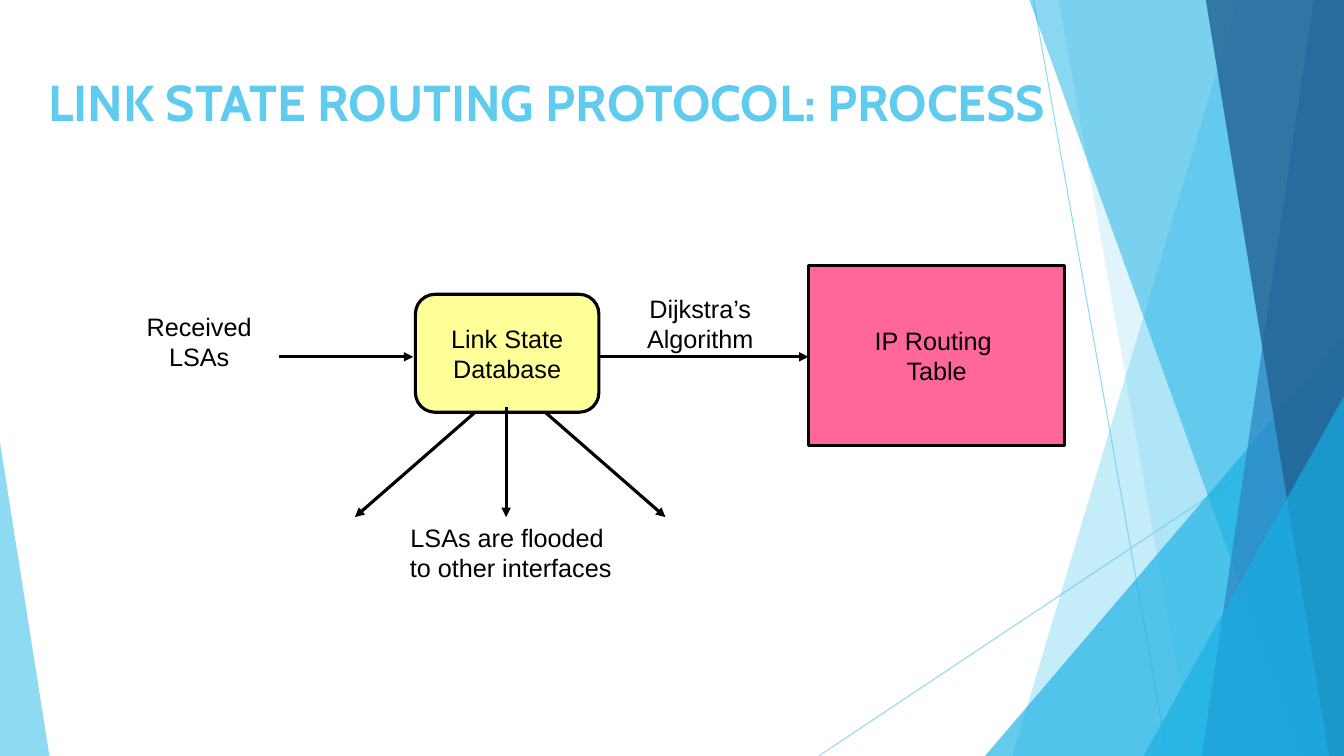
"""Build the link state routing process slide with its faceted side decoration."""
import pptx
import pptx.dml.color
import pptx.enum.shapes
import pptx.enum.text
import pptx.oxml.ns
import pptx.util
from lxml import etree

Inches = pptx.util.Inches
SHAPES = pptx.enum.shapes.MSO_SHAPE
WIDTH, HEIGHT = 13.33, 7.5
SKY, AQUA, BLUE, NAVY = "5FCBEF", "17B0E4", "2E83C3", "226292"
BLACK, YELLOW, PINK = "000000", "FFFF99", "FF6699"

TITLE = ("LINK STATE ROUTING PROTOCOL: PROCESS", (0.38, 0.66, 10.18, 1.44))
LABELS = [
    ("Received\vLSAs", (1.18, 3.04, 1.59, 1.04)),
    ("Dijkstra’s\nAlgorithm", (6.14, 2.86, 1.61, 1.32)),
    ("LSAs are flooded \vto other interfaces", (3.63, 5.13, 2.87, 1.04)),
]
DATABASE = ("Link State\vDatabase", (4.12, 2.92, 1.82, 1.17), SHAPES.ROUNDED_RECTANGLE, YELLOW)
TABLE = ("IP Routing \vTable", (8.02, 2.63, 2.54, 1.79), SHAPES.RECTANGLE, PINK)

FLOW_Y, FLOOD_TOP, FLOOD_BOTTOM = 3.54, 4.04, 5.13
FLOW_ARROWS = [(2.77, FLOW_Y, 4.1, FLOW_Y), (5.93, FLOW_Y, 8.02, FLOW_Y)]
SIDE_FLOODS = [(x, FLOOD_TOP, end, FLOOD_BOTTOM) for x, end in [(5.35, 6.6), (4.77, 3.52)]]
MIDDLE_FLOOD = (5.02, FLOOD_TOP, 5.02, FLOOD_BOTTOM)

HAIRLINES = [(10.25, 0, 11.58, HEIGHT), (WIDTH, 4.03, 8.12, HEIGHT)]
FACETS = [
    ("band", 12.28, 10.04, SKY, 36),
    ("band", 10.5, 11.83, SKY, 20),
    ("triangle", (9.77, 3.33, 3.56, 4.17), 1, AQUA, 66),
    ("band", 10.21, 12.91, AQUA, 50),
    ("band", 13.03, 11.92, BLUE, 70),
    ("band", 11.96, 13.18, NAVY, 80),
    ("triangle", (11.34, 3.93, 1.99, 3.57), 1, AQUA, 66),
    ("triangle", (0, 4.39, 0.49, 3.11), 0, SKY, 70),
]


def colour(value):
    return pptx.dml.color.RGBColor.from_string(value)


def set_opacity(item, percent):
    tag = pptx.oxml.ns.qn("a:alpha")
    for node in item._element.spPr.iter(pptx.oxml.ns.qn("a:srgbClr")):
        etree.SubElement(node, tag).set("val", str(percent * 1000))


def fill_shape(shape, value):
    shape.shadow.inherit = False
    shape.fill.solid()
    shape.fill.fore_color.rgb = colour(value)


def add_line(page, ends, value, points):
    line = page.shapes.add_connector(
        pptx.enum.shapes.MSO_CONNECTOR.STRAIGHT, *map(Inches, ends))
    line.line.color.rgb = colour(value)
    line.line.width = pptx.util.Pt(points)
    etree.SubElement(line._element.spPr, pptx.oxml.ns.qn("a:effectLst"))
    return line


def add_arrow(page, ends):
    arrow = add_line(page, ends, BLACK, 2.25)
    outline = arrow.line._get_or_add_ln()
    etree.SubElement(outline, pptx.oxml.ns.qn("a:tailEnd")).set("type", "triangle")


def add_facet(page, kind, place, lean, value, opacity):
    if kind == "band":
        corners = [(WIDTH, 0), (WIDTH, HEIGHT), (lean, HEIGHT)]
        outline = page.shapes.build_freeform(Inches(place), 0)
        outline.add_line_segments([(Inches(x), Inches(y)) for x, y in corners])
        facet = outline.convert_to_shape()
    else:
        facet = page.shapes.add_shape(SHAPES.ISOSCELES_TRIANGLE, *map(Inches, place))
        facet.adjustments[0] = lean
    fill_shape(facet, value)
    facet.line.fill.background()
    set_opacity(facet, opacity)


def write(box, text, size=18, font="Arial", value=BLACK, bold=False, centred=True):
    frame = box.text_frame
    frame.text = text
    frame.word_wrap = not centred
    for para in frame.paragraphs:
        align = pptx.enum.text.PP_ALIGN
        para.alignment = align.CENTER if centred else align.LEFT
        for span in para.runs:
            span.font.size = pptx.util.Pt(size)
            span.font.name = font
            span.font.bold = bold
            span.font.color.rgb = colour(value)


def add_node(page, text, place, kind, value):
    node = page.shapes.add_shape(kind, *map(Inches, place))
    fill_shape(node, value)
    node.line.color.rgb = colour(BLACK)
    node.line.width = pptx.util.Pt(2.25)
    write(node, text)
    node.text_frame.vertical_anchor = pptx.enum.text.MSO_ANCHOR.MIDDLE


def main():
    deck = pptx.Presentation()
    deck.slide_width, deck.slide_height = Inches(WIDTH), Inches(HEIGHT)
    page = deck.slides.add_slide(deck.slide_layouts[6])
    for ends in HAIRLINES:
        set_opacity(add_line(page, ends, SKY, 0.75), 70)
    for facet in FACETS:
        add_facet(page, *facet)
    title, place = TITLE
    write(page.shapes.add_textbox(*map(Inches, place)), title, 36, "Cabin", SKY, True, False)
    for text, place in LABELS:
        write(page.shapes.add_textbox(*map(Inches, place)), text)
    add_node(page, *TABLE)
    for ends in FLOW_ARROWS + SIDE_FLOODS:
        add_arrow(page, ends)
    add_node(page, *DATABASE)
    add_arrow(page, MIDDLE_FLOOD)
    deck.save("out.pptx")


if __name__ == "__main__":
    main()
